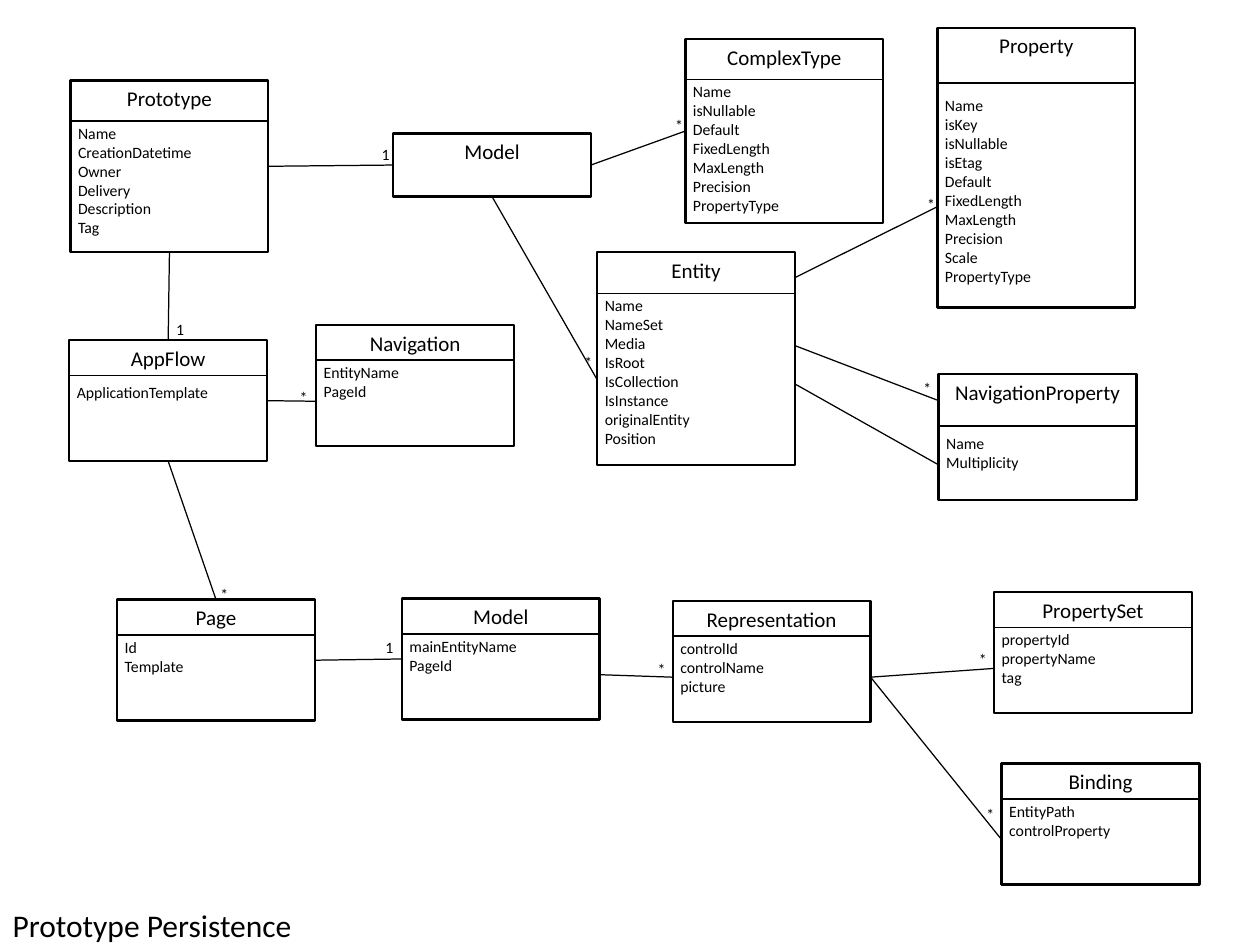
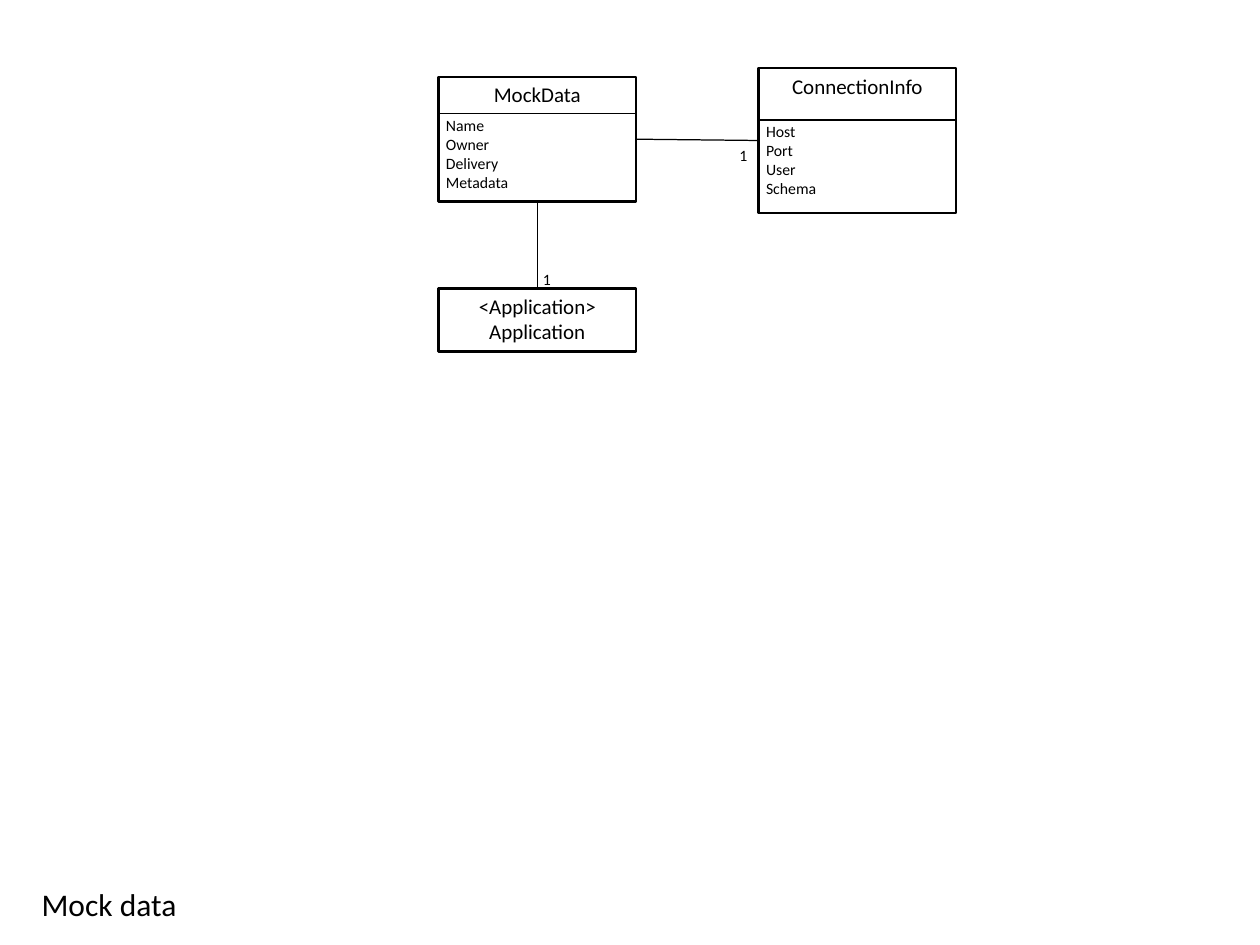
"""Build two class diagrams: prototype persistence and mock data."""
from dataclasses import dataclass

from lxml import etree
from pptx import Presentation
from pptx.dml.color import RGBColor
from pptx.enum.shapes import MSO_CONNECTOR, MSO_SHAPE
from pptx.enum.text import MSO_ANCHOR, MSO_AUTO_SIZE, PP_ALIGN
from pptx.oxml.ns import qn
from pptx.util import Inches, Pt

RECTANGLE = MSO_SHAPE.RECTANGLE
STRAIGHT = MSO_CONNECTOR.STRAIGHT
TOP = MSO_ANCHOR.TOP
LEFT, CENTER, RIGHT = PP_ALIGN.LEFT, PP_ALIGN.CENTER, PP_ALIGN.RIGHT
FIT_SHAPE, NO_FIT = MSO_AUTO_SIZE.SHAPE_TO_FIT_TEXT, MSO_AUTO_SIZE.NONE

SLIDE_WIDTH, SLIDE_HEIGHT = Inches(10), Inches(7.5)
COLUMN, ROW = SLIDE_WIDTH / 100, SLIDE_HEIGHT / 75
CLASS_WIDTH = 15.7
TITLE_ONLY = 5

FONT = "Calibri"
INK, PAPER = "000000", "FFFFFF"
TITLE_SIZE, NAME_SIZE, FIELD_SIZE = 18, 12, 9
BORDER, DIVIDER, RELATION = 1.4, 1, 0.7

SITES = {"top": 0, "left": 1, "bottom": 2, "right": 3}


@dataclass(frozen=True)
class ClassBox:
    """A class with its name band and fields, in columns and rows."""

    key: str
    left: float
    top: float
    height: float
    band: float = 2.8
    fields: tuple[str, ...] = ()
    field_gap: float = 0
    label: str = ""


@dataclass(frozen=True)
class End:
    """A point at a share of one side of a class."""

    key: str
    side: str
    share: float = 0.5


@dataclass(frozen=True)
class Multiplicity:
    """A multiplicity mark beside the end of a relation."""

    symbol: str
    left: float
    top: float
    align: PP_ALIGN = CENTER
    width: float = 2.2


@dataclass(frozen=True)
class Diagram:
    """All content of one slide."""

    title: str
    title_area: tuple[float, float, float, float]
    classes: tuple[ClassBox, ...]
    relations: tuple[tuple[End, End], ...]
    multiplicities: tuple[Multiplicity, ...]


PERSISTENCE = Diagram(
    "Prototype Persistence",
    (0, 71.4, 24.4, 4),
    (
        ClassBox("Prototype", 5.6, 6.4, 13.6, 3.2,
                 ("Name", "CreationDatetime", "Owner", "Delivery", "Description", "Tag")),
        ClassBox("Entity", 47.4, 20, 16.9, 3.3,
                 ("Name", "NameSet", "Media", "IsRoot", "IsCollection", "IsInstance",
                  "originalEntity", "Position")),
        ClassBox("Property", 74.4, 2.2, 22.2, 4.4,
                 ("Name", "isKey", "isNullable", "isEtag", "Default", "FixedLength",
                  "MaxLength", "Precision", "Scale", "PropertyType"), 0.4 + 0.4),
        ClassBox("NavigationProperty", 74.5, 29.7, 10, 4.1, ("Name", "Multiplicity"), 0.4),
        ClassBox("AppFlow", 5.5, 27, 9.6, fields=("ApplicationTemplate",), field_gap=0.4),
        ClassBox("Navigation", 25.1, 25.8, 9.6, fields=("EntityName", "PageId")),
        ClassBox("Page", 9.3, 47.6, 9.6, fields=("Id", "Template")),
        ClassBox("PageModel", 31.9, 47.5, 9.6, fields=("mainEntityName", "PageId"),
                 label="Model"),
        ClassBox("Representation", 53.4, 47.7, 9.6,
                 fields=("controlId", "controlName", "picture")),
        ClassBox("PropertySet", 78.9, 47, 9.6, fields=("propertyId", "propertyName", "tag")),
        ClassBox("Binding", 79.5, 60.6, 9.6, fields=("EntityPath", "controlProperty")),
        ClassBox("Model", 31.2, 10.6, 5),
        ClassBox("ComplexType", 54.4, 3.1, 14.6, 3.2,
                 ("Name", "isNullable", "Default", "FixedLength", "MaxLength", "Precision",
                  "PropertyType")),
    ),
    (
        (End("Model", "left"), End("Prototype", "right")),
        (End("Model", "right"), End("ComplexType", "left")),
        (End("Model", "bottom"), End("Entity", "left", 0.6)),
        (End("Entity", "right", 0.12), End("Property", "left", 0.64)),
        (End("Entity", "right", 0.44), End("NavigationProperty", "left", 0.21)),
        (End("Entity", "right", 0.62), End("NavigationProperty", "left", 0.72)),
        (End("Prototype", "bottom"), End("AppFlow", "top")),
        (End("AppFlow", "right"), End("Navigation", "left", 0.63)),
        (End("AppFlow", "bottom"), End("Page", "top")),
        (End("Page", "right"), End("PageModel", "left")),
        (End("PageModel", "right", 0.63), End("Representation", "left", 0.63)),
        (End("Representation", "right", 0.63), End("PropertySet", "left", 0.63)),
        (End("Representation", "right", 0.63), End("Binding", "left", 0.63)),
    ),
    (
        Multiplicity("*", 72.6, 15, RIGHT),
        Multiplicity("1", 29.3, 11, RIGHT),
        Multiplicity("*", 72.3, 29.6, RIGHT),
        Multiplicity("*", 45.4, 27.5, RIGHT),
        Multiplicity("*", 22.8, 30.3, RIGHT),
        Multiplicity("*", 16.5, 45.9),
        Multiplicity("1", 29.6, 50.1),
        Multiplicity("*", 51.2, 51.9),
        Multiplicity("1", 13, 24.9, RIGHT),
        Multiplicity("*", 76.7, 51.1),
        Multiplicity("*", 77.3, 63.4),
        Multiplicity("*", 52.6, 8.7, RIGHT),
    ),
)

MOCK_DATA = Diagram(
    "Mock data",
    (2.3, 69.7, 12.8, 4),
    (
        ClassBox("MockData", 34.8, 6.1, 9.9, 2.9, ("Name", "Owner", "Delivery", "Metadata")),
        ClassBox("Application", 34.8, 22.9, 5, label="<Application>\nApplication"),
        ClassBox("ConnectionInfo", 60.2, 5.4, 11.5, 4.1, ("Host", "Port", "User", "Schema")),
    ),
    (
        (End("MockData", "bottom"), End("Application", "top")),
        (End("MockData", "right"), End("ConnectionInfo", "left")),
    ),
    (
        Multiplicity("1", 42.1, 20.9, RIGHT, 2.4),
        Multiplicity("1", 57.7, 11.1, RIGHT, 2.4),
    ),
)


def color(value: str) -> RGBColor:
    """Turn a hex string into a colour."""
    return RGBColor.from_string(value)


def area(left: float, top: float, width: float, height: float) -> tuple[int, ...]:
    """Convert columns and rows into slide lengths."""
    return round(left * COLUMN), round(top * ROW), round(width * COLUMN), round(height * ROW)


def write(shape, text: str, size: float, align: PP_ALIGN, insets=(0.1, 0.05, 0.1, 0.05)) -> None:
    """Fill a shape with top-anchored text in the shared font."""
    frame = shape.text_frame
    frame.text = text
    frame.word_wrap = True
    frame.vertical_anchor = TOP
    frame.margin_left, frame.margin_top, frame.margin_right, frame.margin_bottom = map(Inches, insets)
    for paragraph in frame.paragraphs:
        paragraph.alignment = align
        for run in paragraph.runs:
            run.font.name = FONT
            run.font.size = Pt(size)
            run.font.color.rgb = color(INK)


def draw_line(shapes, start: tuple[int, int], finish: tuple[int, int], width: float):
    """Draw a plain straight connector."""
    connector = shapes.add_connector(STRAIGHT, *start, *finish)
    connector.line.color.rgb = color(INK)
    connector.line.width = Pt(width)
    etree.SubElement(connector._element.spPr, qn("a:effectLst"))
    return connector


def draw_class(slide, box: ClassBox):
    """Draw a class, grouped with its fields, and return its outline."""
    shapes = slide.shapes.add_group_shape().shapes if box.fields else slide.shapes
    outline = shapes.add_shape(RECTANGLE, *area(box.left, box.top, CLASS_WIDTH, box.height))
    outline.shadow.inherit = False
    outline.fill.solid()
    outline.fill.fore_color.rgb = color(PAPER)
    outline.line.color.rgb = color(INK)
    outline.line.width = Pt(BORDER)
    write(outline, box.label or box.key, NAME_SIZE, CENTER, (0.04,) * 4)
    if box.fields:
        left, divider_top, width, _ = area(box.left, box.top + box.band, CLASS_WIDTH, 0)
        draw_line(shapes, (left, divider_top), (left + width, divider_top), DIVIDER)
        offset = box.band + box.field_gap
        fields = shapes.add_textbox(
            *area(box.left, box.top + offset, CLASS_WIDTH, box.height - offset))
        write(fields, "\n".join(box.fields), FIELD_SIZE, LEFT, (0.06, 0.02, 0.04, 0.02))
    return outline


def end_point(outline, end: End) -> tuple[int, int]:
    """Locate a relation's end on the outline of its class."""
    if end.side in ("top", "bottom"):
        x_share, y_share = end.share, float(end.side == "bottom")
    else:
        x_share, y_share = float(end.side == "right"), end.share
    return (round(outline.left + x_share * outline.width),
            round(outline.top + y_share * outline.height))


def draw_relation(slide, outlines: dict, source: End, target: End) -> None:
    """Link two classes, attaching ends that meet the middle of a side."""
    start, finish = (end_point(outlines[end.key], end) for end in (source, target))
    relation = draw_line(slide.shapes, start, finish, RELATION)
    for end, attach in ((source, relation.begin_connect), (target, relation.end_connect)):
        if end.share == 0.5:
            attach(outlines[end.key], SITES[end.side])


def draw_multiplicity(slide, mark: Multiplicity) -> None:
    """Place a multiplicity mark."""
    multiplicity = slide.shapes.add_textbox(*area(mark.left, mark.top, mark.width, 2.5))
    write(multiplicity, mark.symbol, FIELD_SIZE, mark.align)
    multiplicity.text_frame.auto_size = FIT_SHAPE


def draw_diagram(presentation, diagram: Diagram) -> None:
    """Add a slide with its title, classes, relations and marks."""
    slide = presentation.slides.add_slide(presentation.slide_layouts[TITLE_ONLY])
    title = slide.shapes.title
    title.left, title.top, title.width, title.height = area(*diagram.title_area)
    write(title, diagram.title, TITLE_SIZE, LEFT)
    title.text_frame.word_wrap = False
    title.text_frame.auto_size = NO_FIT
    outlines = {box.key: draw_class(slide, box) for box in diagram.classes}
    for source, target in diagram.relations:
        draw_relation(slide, outlines, source, target)
    for mark in diagram.multiplicities:
        draw_multiplicity(slide, mark)


def main() -> None:
    """Build and save the presentation."""
    presentation = Presentation()
    presentation.slide_width, presentation.slide_height = SLIDE_WIDTH, SLIDE_HEIGHT
    for diagram in (PERSISTENCE, MOCK_DATA):
        draw_diagram(presentation, diagram)
    presentation.save("out.pptx")


if __name__ == "__main__":
    main()
